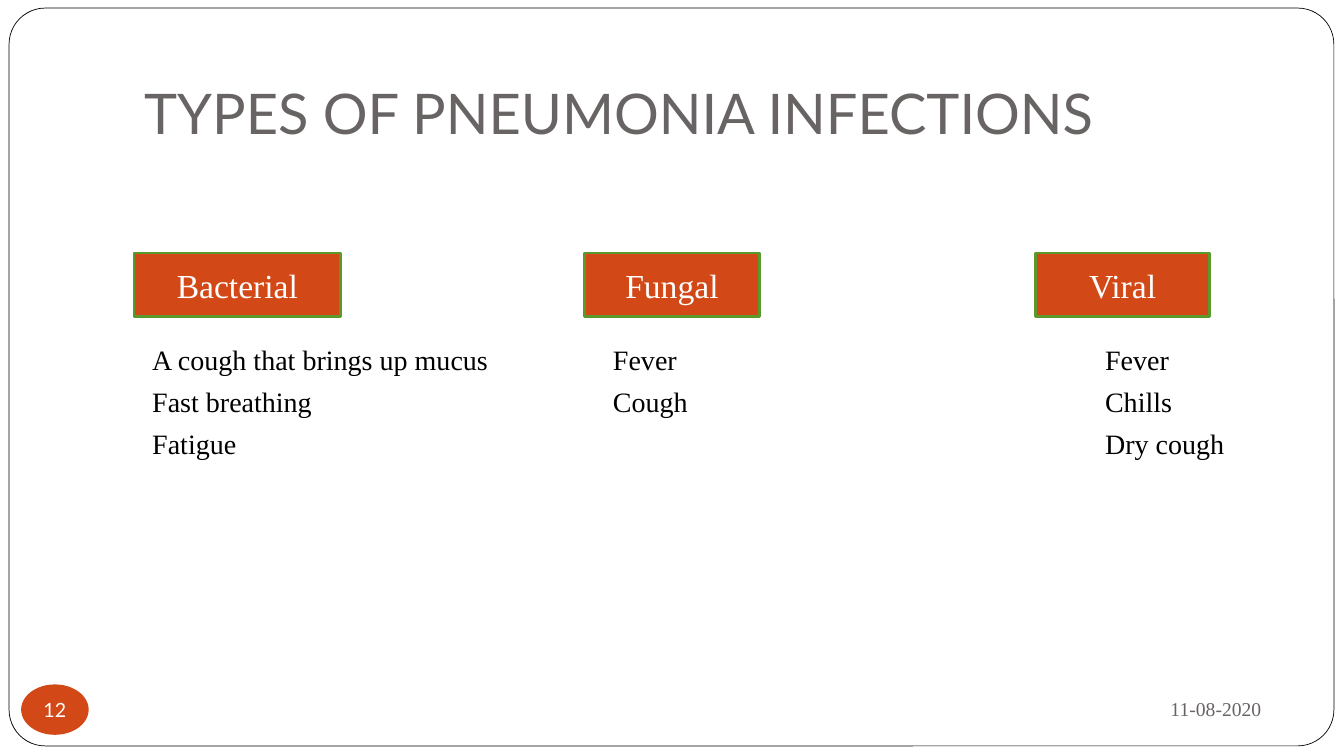
from lxml.etree import SubElement
from pptx import Presentation
from pptx.dml.color import RGBColor
from pptx.enum.shapes import MSO_SHAPE
from pptx.enum.text import MSO_ANCHOR, MSO_AUTO_SIZE, PP_ALIGN
from pptx.oxml.ns import qn
from pptx.util import Inches, Pt

HUES = {"white": "FFFFFF", "black": "000000", "grey": "696464",
        "rust": "D34817", "green": "5C982B"}
SERIF = "Times New Roman"


def write(shape, lines, size, face, hue, align, anchor, inset):
    """Fill a shape with styled lines; inset is left, top, right, bottom."""
    frame = shape.text_frame
    frame.text = "\n".join(lines)
    form = {"word_wrap": True, "auto_size": MSO_AUTO_SIZE.NONE,
            "vertical_anchor": anchor}
    for side, gap in zip(("left", "top", "right", "bottom"), inset):
        form["margin_" + side] = Inches(gap)
    for key, value in form.items():
        setattr(frame, key, value)
    for para in frame.paragraphs:
        para.alignment = align
        font = para.runs[0].font
        for key, value in {"size": Pt(size), "name": face}.items():
            setattr(font, key, value)
        font.color.rgb = RGBColor.from_string(HUES[hue])


def draw(kind, box, fill, line=None, width=0):
    """Add a flat preset shape; without a line hue it has no outline."""
    shape = slide.shapes.add_shape(kind, *map(Inches, box))
    shape.shadow.inherit = False
    shape.fill.solid()
    shape.fill.fore_color.rgb = RGBColor.from_string(HUES[fill])
    if line:
        shape.line.color.rgb = RGBColor.from_string(HUES[line])
        shape.line.width = Pt(width)
    else:
        shape.line.fill.background()
    return shape


deck = Presentation()
deck.slide_width, deck.slide_height = Inches(13.33), Inches(7.5)
slide = deck.slides.add_slide(deck.slide_layouts[1])
title, body = slide.placeholders

# Rounded frame behind everything
frame = draw(MSO_SHAPE.ROUNDED_RECTANGLE, (0.09, 0.08, 13.14, 7.32),
             "white", "black", 0.5)
frame.adjustments[0] = 0.049
title.element.addprevious(frame.element)

# Title and first list
for holder, box in ((title, (1.33, 0.3, 11.33, 1.25)),
                    (body, (1.28, 3.35, 4.4, 1.5))):
    for side, value in zip(("left", "top", "width", "height"), box):
        setattr(holder, side, Inches(value))
write(title, ["TYPES OF PNEUMONIA INFECTIONS"], 40, "Lato", "grey",
      PP_ALIGN.LEFT, MSO_ANCHOR.BOTTOM, (0.1, 0.05, 0.1, 0.1))

# Headings, each with its symptoms below
types = (("Bacterial", 2.05, 1.28, 4.4,
          ["A cough that brings up mucus", "Fast breathing", "Fatigue"]),
         ("Fungal", 1.73, 5.85, 4.4, ["Fever", "Cough"]),
         ("Viral", 1.73, 10.73, 1.88, ["Fever", "Chills", "Dry cough"]))
for index, (name, width, left, span, signs) in enumerate(types):
    head = draw(MSO_SHAPE.RECTANGLE, (1.33 + 4.47 * index, 2.51, width, 0.63),
                "rust", "green", 2)
    write(head, [name], 24, SERIF, "white", PP_ALIGN.CENTER,
          MSO_ANCHOR.MIDDLE, (0.1, 0.05, 0.1, 0.05))
    column = body
    if index:
        column = slide.shapes.add_textbox(*map(Inches, (left, 3.35, span, 1.5)))
    write(column, signs, 20, SERIF, "black", PP_ALIGN.LEFT,
          MSO_ANCHOR.TOP, (0.23, 0.05, 0.1, 0.05))
    for row, para in enumerate(column.text_frame.paragraphs):
        para.space_before = Pt(6 if row else 0)
        props = para._p.get_or_add_pPr()
        for key in ("marL", "indent"):
            props.set(key, "0")
        SubElement(props, qn("a:buNone"))

# Date and page badge
date = slide.shapes.add_textbox(*map(Inches, (9, 6.77, 3.61, 0.52)))
write(date, ["11-08-2020"], 14, SERIF, "grey", PP_ALIGN.RIGHT,
      MSO_ANCHOR.MIDDLE, (0.1, 0.05, 0.1, 0.05))
badge = draw(MSO_SHAPE.OVAL, (0.21, 6.79, 0.67, 0.5), "rust")
write(badge, ["12"], 14, "Lato", "white", PP_ALIGN.CENTER,
      MSO_ANCHOR.MIDDLE, (0, 0, 0, 0))

deck.save("out.pptx")
